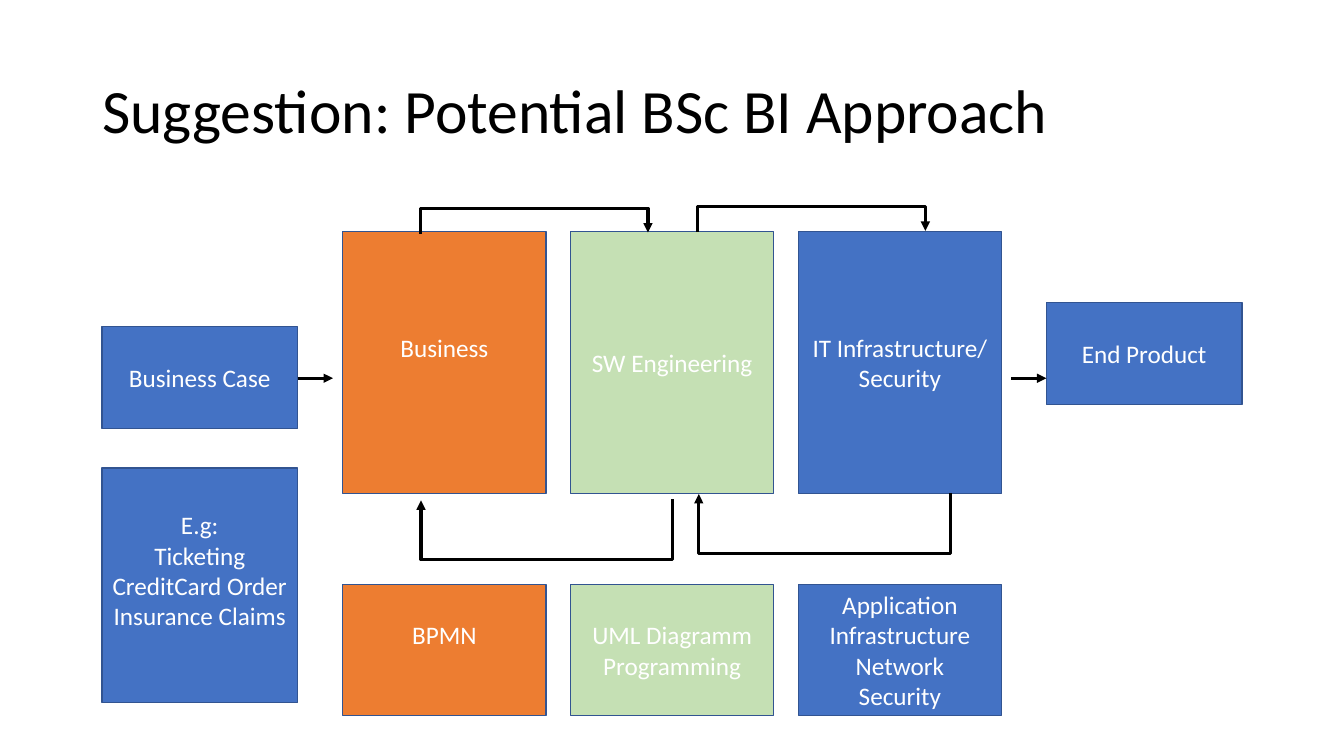
"""Build the slide with the suggested BSc BI approach."""
from dataclasses import dataclass

from lxml.etree import SubElement
from pptx import Presentation
from pptx.dml.color import RGBColor
from pptx.enum.shapes import MSO_CONNECTOR, MSO_SHAPE
from pptx.enum.text import MSO_ANCHOR, PP_ALIGN
from pptx.oxml.ns import qn
from pptx.util import Cm, Pt

COLORS = {
    "blue": "4472C4",
    "orange": "ED7D31",
    "green": "C5E0B4",
    "outline": "325491",
    "white": "FFFFFF",
    "black": "000000",
}
FONT = "Calibri"
SIDE_LEFT, SIDE_WIDTH, SIDE_HEIGHT = 2.57, 4.93, 2.57
END_LEFT = 26.37
COLUMN_LEFT, COLUMN_STEP, COLUMN_WIDTH = 8.64, 5.74, 5.12
AREA_TOP, AREA_HEIGHT = 5.84, 6.6
TOPIC_TOP, TOPIC_HEIGHT = 14.73, 3.3
TEXT_INSET, LINE_HEIGHT = 0.13, 0.76


@dataclass
class Box:
    left: float
    top: float
    width: float
    height: float
    color: str
    paragraphs: list[str]
    raised: bool = False


@dataclass
class Column:
    color: str
    area: str
    topics: list[str]
    raised: bool = False


@dataclass
class Elbow:
    start_x: float
    start_y: float
    end_x: float
    end_y: float
    depth: float


COLUMNS = [
    Column("orange", "Business", ["BPMN"], True),
    Column("green", "SW Engineering", ["UML Diagramm", "Programming"]),
    Column("blue", "IT Infrastructure/\nSecurity",
           ["Application", "Infrastructure", "Network", "Security"]),
]
SIDE_BOXES = [
    Box(SIDE_LEFT, 8.23, SIDE_WIDTH, SIDE_HEIGHT, "blue", ["Business Case"]),
    Box(END_LEFT, 7.62, SIDE_WIDTH, SIDE_HEIGHT, "blue", ["End Product"]),
    Box(SIDE_LEFT, 11.79, SIDE_WIDTH, 5.92, "blue",
        ["E.g:\nTicketing", "CreditCard Order", "Insurance Claims"], True),
]
ELBOWS = [
    Elbow(10.59, 5.89, 16.33, 5.86, 0.64),
    Elbow(17.58, 5.85, 23.32, 5.82, 0.64),
    Elbow(23.95, 12.42, 17.61, 12.45, 1.52),
    Elbow(16.95, 12.58, 10.61, 12.61, 1.52),
]
ARROW_Y, ARROW_LENGTH = 9.53, 0.89
ARROW_STARTS = [SIDE_LEFT + SIDE_WIDTH, END_LEFT - ARROW_LENGTH]


def rgb(name: str) -> RGBColor:
    return RGBColor.from_string(COLORS[name])


def add_text(paragraph, text: str, size: float, color: str) -> None:
    for index, line in enumerate(text.split("\n")):
        if index:
            paragraph.add_line_break()
        run = paragraph.add_run()
        run.text = line
        run.font.name = FONT
        run.font.size = Pt(size)
        run.font.color.rgb = rgb(color)


def add_title(slide, text: str) -> None:
    shape = slide.shapes.add_textbox(Cm(2.33), Cm(1.01), Cm(29.21), Cm(3.68))
    shape.text_frame.word_wrap = True
    shape.text_frame.vertical_anchor = MSO_ANCHOR.MIDDLE
    paragraph = shape.text_frame.paragraphs[0]
    paragraph.line_spacing = 0.9
    add_text(paragraph, text, 44, "black")


def add_box(slide, box: Box) -> None:
    shape = slide.shapes.add_shape(
        MSO_SHAPE.RECTANGLE, Cm(box.left), Cm(box.top), Cm(box.width), Cm(box.height))
    shape.shadow.inherit = False
    shape.fill.solid()
    shape.fill.fore_color.rgb = rgb(box.color)
    shape.line.color.rgb = rgb("outline")
    shape.line.width = Pt(1)
    frame = shape.text_frame
    frame.word_wrap = True
    frame.vertical_anchor = MSO_ANCHOR.MIDDLE
    frame.margin_bottom = Cm(TEXT_INSET + LINE_HEIGHT * box.raised)
    for index, text in enumerate(box.paragraphs):
        paragraph = frame.add_paragraph() if index else frame.paragraphs[0]
        paragraph.alignment = PP_ALIGN.CENTER
        add_text(paragraph, text, 18, "white")


def add_arrow(slide, kind: MSO_CONNECTOR, start_x: float, start_y: float,
              end_x: float, end_y: float):
    connector = slide.shapes.add_connector(
        kind, Cm(start_x), Cm(start_y), Cm(end_x), Cm(end_y))
    connector.line.color.rgb = rgb("black")
    connector.line.width = Pt(2.25)
    properties = connector._element.spPr
    SubElement(properties.find(qn("a:ln")), qn("a:tailEnd"), type="triangle")
    SubElement(properties, qn("a:effectLst"))
    return connector


def add_elbow(slide, elbow: Elbow) -> None:
    rise = elbow.end_y - elbow.start_y
    span = elbow.start_x - elbow.end_x
    center_x = (elbow.start_x + elbow.end_x) / 2
    center_y = (elbow.start_y + elbow.end_y) / 2
    connector = add_arrow(slide, MSO_CONNECTOR.ELBOW,
                          center_x - rise / 2, center_y - span / 2,
                          center_x + rise / 2, center_y + span / 2)
    properties = connector._element.spPr
    properties.find(qn("a:xfrm")).set("rot", str(90 * 60000))
    adjustments = properties.find(qn("a:prstGeom")).find(qn("a:avLst"))
    ratio = round(elbow.depth / abs(rise) * 100000)
    SubElement(adjustments, qn("a:gd"), name="adj1", fmla=f"val {ratio}")


def main() -> None:
    presentation = Presentation()
    presentation.slide_width = Cm(33.87)
    presentation.slide_height = Cm(19.05)
    slide = presentation.slides.add_slide(presentation.slide_layouts[6])
    add_title(slide, "Suggestion: Potential BSc BI Approach")
    for index, column in enumerate(COLUMNS):
        left = COLUMN_LEFT + index * COLUMN_STEP
        add_box(slide, Box(left, AREA_TOP, COLUMN_WIDTH, AREA_HEIGHT,
                           column.color, [column.area], column.raised))
        add_box(slide, Box(left, TOPIC_TOP, COLUMN_WIDTH, TOPIC_HEIGHT,
                           column.color, column.topics, column.raised))
    for box in SIDE_BOXES:
        add_box(slide, box)
    for elbow in ELBOWS:
        add_elbow(slide, elbow)
    for start in ARROW_STARTS:
        add_arrow(slide, MSO_CONNECTOR.STRAIGHT, start, ARROW_Y,
                  start + ARROW_LENGTH, ARROW_Y)
    presentation.save("out.pptx")


if __name__ == "__main__":
    main()
